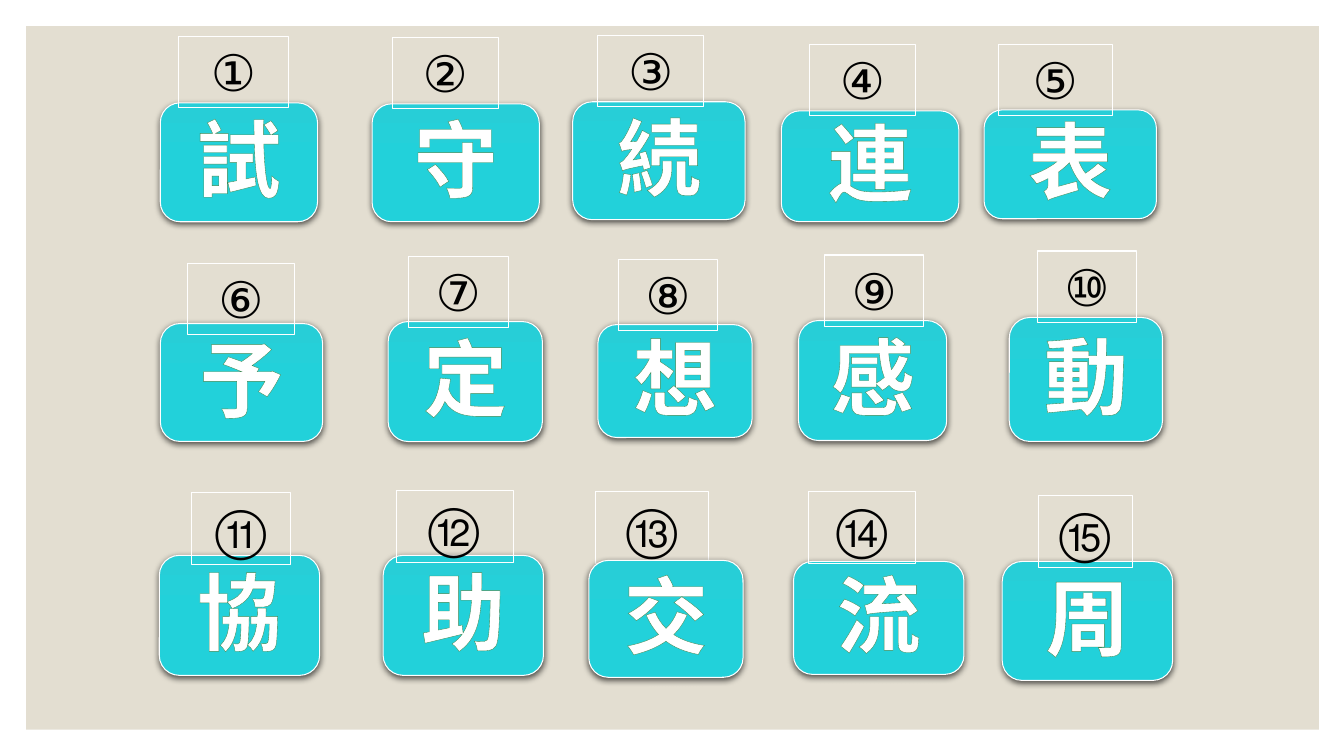
from copy import deepcopy
from lxml import etree
from pptx import Presentation
from pptx.dml.color import RGBColor
from pptx.enum.shapes import MSO_SHAPE
from pptx.enum.text import MSO_ANCHOR, MSO_AUTO_SIZE, PP_ALIGN
from pptx.oxml.ns import qn
from pptx.util import Inches, Pt

RECT, ROUND = MSO_SHAPE.RECTANGLE, MSO_SHAPE.ROUNDED_RECTANGLE
CENTER = PP_ALIGN.CENTER
TOP, MIDDLE = MSO_ANCHOR.TOP, MSO_ANCHOR.MIDDLE
GROW = MSO_AUTO_SIZE.SHAPE_TO_FIT_TEXT

WHITE = RGBColor(0xFF, 0xFF, 0xFF)
BLACK = RGBColor(0, 0, 0)
SAND = RGBColor(0xE3, 0xDE, 0xD1)
GREEN = RGBColor(0x3E, 0x88, 0x53)
AQUA = (RGBColor(0x27, 0xCE, 0xD7), RGBColor(0x22, 0xD1, 0xDA),
        RGBColor(0x22, 0xD0, 0xD9))

CELL = Inches(0.1)
TAG_ROWS = 7.1

# Each card: kanji, tile (column, row, columns, rows), number, tag (column, row, columns)
CARDS = [
    ("試", (15.9, 10.2, 15.6, 11.8), "①", (17.7, 3.6, 10.9)),
    ("守", (36.9, 10.3, 16.6, 11.7), "②", (38.9, 3.7, 10.5)),
    ("続", (56.8, 10.1, 17.1, 11.7), "③", (59.3, 3.5, 10.5)),
    ("連", (77.5, 11, 17.6, 11), "④", (80.3, 4.4, 10.5)),
    ("表", (97.6, 10.9, 17.1, 10.8), "⑤", (99, 4.4, 11.3)),
    ("予", (15.9, 32.1, 16.1, 11.7), "⑥", (18.6, 26.1, 10.6)),
    ("定", (38.5, 31.9, 15.3, 11.9), "⑦", (40.5, 25.4, 9.9)),
    ("想", (59.3, 32.2, 15.3, 11.2), "⑧", (61.3, 25.7, 9.9)),
    ("感", (79.2, 31.8, 14.7, 11.9), "⑨", (81.8, 25.3, 9.8)),
    ("動", (100.1, 31.5, 15.2, 12.3), "⑩", (102.9, 24.9, 9.8)),
    ("協", (15.8, 55.1, 15.9, 11.9), "⑪", (19, 48.9, 9.8)),
    ("助", (38, 55.1, 15.9, 11.9), "⑫", (39.3, 48.7, 11.6)),
    ("交", (58.4, 55.6, 15.3, 11.6), "⑬", (59.1, 48.8, 11.2)),
    ("流", (78.7, 55.7, 16.9, 11.2), "⑭", (80.2, 48.8, 10.6)),
    ("周", (99.4, 55.7, 16.9, 11.8), "⑮", (103, 49.2, 9.3)),
]


def place(*cells):
    """Turn grid cells into slide lengths."""
    return [round(cell * CELL) for cell in cells]


def edge(shape):
    """Give a shape its thin white line."""
    shape.line.color.rgb = WHITE
    shape.line.width = Pt(0.75)


def write(shape, text, *, font, size, color, bold=False, anchor=TOP):
    """Write one centred line and return its run."""
    frame = shape.text_frame
    frame.word_wrap = True
    frame.vertical_anchor = anchor
    para = frame.paragraphs[0]
    para.alignment = CENTER
    run = para.add_run()
    run.text = text
    run.font.name = font
    run.font.size = Pt(size)
    run.font.bold = bold
    run.font.color.rgb = color
    return run


def tint(node, color, alpha=None):
    """Add a colour, with its opacity if given, to an XML node."""
    rgb = etree.SubElement(node, qn("a:srgbClr"), val=str(color))
    if alpha:
        etree.SubElement(rgb, qn("a:alpha"), val=str(alpha * 1000))


def blend(shape):
    """Fill a shape from top to bottom with three stops of aqua."""
    shape.fill.gradient()
    shape.fill.gradient_angle = 270
    stops = shape._element.spPr.find(".//" + qn("a:gsLst"))
    stops.insert(1, deepcopy(stops[0]))
    for stop, color, share in zip(shape.fill.gradient_stops, AQUA, (0, 0.5, 1)):
        stop.color.rgb = color
        stop.position = share


def shade(shape):
    """Cast a soft shadow below a shape."""
    shape.shadow.inherit = False
    effects = shape._element.spPr.find(qn("a:effectLst"))
    cast = etree.SubElement(effects, qn("a:outerShdw"), blurRad=str(Pt(4.5)),
                            dist=str(Pt(1.5)), dir="5400000", rotWithShape="0")
    tint(cast, BLACK, 63)


def trace(run):
    """Outline the letters of a run in green."""
    line = etree.Element(qn("a:ln"), w=str(Pt(0.8)))
    tint(etree.SubElement(line, qn("a:solidFill")), GREEN)
    run.font._element.insert(0, line)


def panel(slide):
    """Draw the sand panel with an even margin."""
    shape = slide.shapes.add_shape(RECT, *place(2.6, 2.6, 128.2, 69.8))
    shape.shadow.inherit = False
    shape.fill.solid()
    shape.fill.fore_color.rgb = SAND
    shape.line.fill.background()


def tile(slide, kanji, cells):
    """Draw a rounded tile with its kanji."""
    shape = slide.shapes.add_shape(ROUND, *place(*cells))
    blend(shape)
    edge(shape)
    shade(shape)
    frame = shape.text_frame
    frame.margin_left = frame.margin_top = frame.margin_right = 0
    frame.margin_bottom = CELL
    trace(write(shape, kanji, font="Calibri", size=60, color=WHITE,
                bold=True, anchor=MIDDLE))


def tag(slide, number, cells):
    """Draw a framed number."""
    shape = slide.shapes.add_textbox(*place(*cells, TAG_ROWS))
    edge(shape)
    write(shape, number, font="League Spartan", size=36, color=BLACK)
    shape.text_frame.auto_size = GROW


def main():
    """Build the slide and save it."""
    deck = Presentation()
    deck.slide_width, deck.slide_height = Inches(13.33), Inches(7.5)
    slide = deck.slides.add_slide(deck.slide_layouts[6])
    panel(slide)
    for tiles, tags in ((CARDS[:12], CARDS[:13]), (CARDS[12:], CARDS[13:])):
        for kanji, cells, _, _ in tiles:
            tile(slide, kanji, cells)
        for _, _, number, cells in tags:
            tag(slide, number, cells)
    deck.save("out.pptx")


if __name__ == "__main__":
    main()
